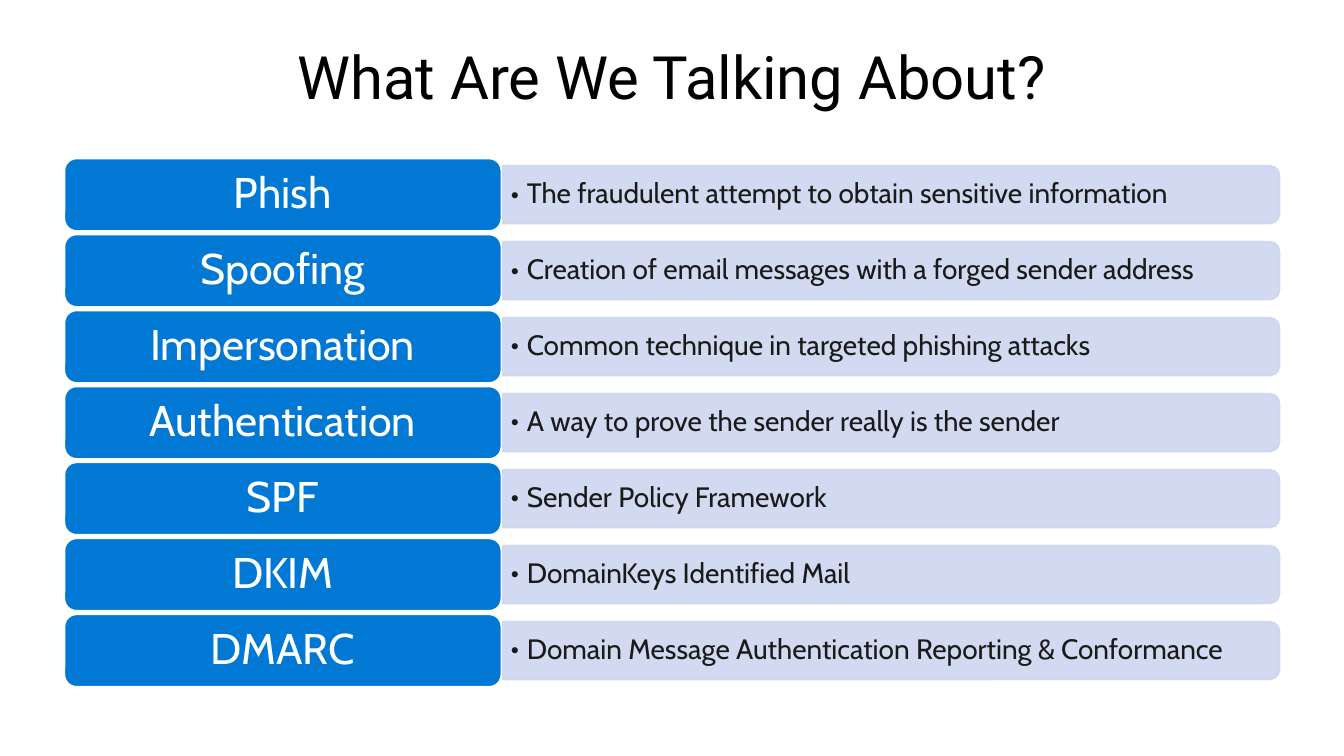
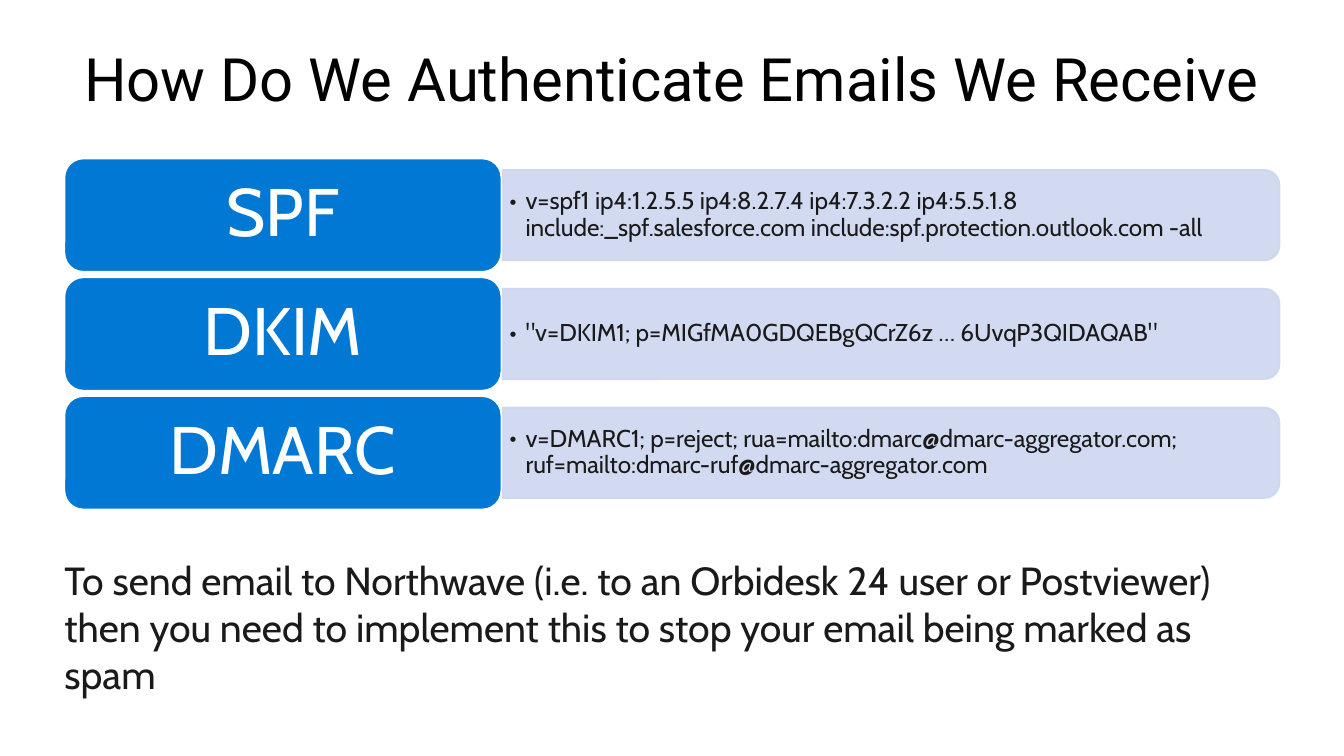
import pptx
import pptx.util
from lxml import etree
from pptx.dml.color import RGBColor
from pptx.enum.shapes import MSO_SHAPE
from pptx.enum.text import MSO_ANCHOR, MSO_AUTO_SIZE, PP_ALIGN
from pptx.oxml.ns import qn
from pptx.util import Inches, Pt

COLORS = {"title": "000000", "term": "0078D4", "band": "CCD6EF",
          "white": "FFFFFF", "ink": "1A1A1A"}
TITLE_FONT, BODY_FONT = "Roboto", "Cabin"

SLIDES = [
    {
        "title": "What Are We Talking About?", "title_top": 0.06,
        "bottom": 5.11, "term_size": 23, "meaning_size": 15, "inset": 0.06,
        "rows": [
            ("Phish", "The fraudulent attempt to obtain sensitive information"),
            ("Spoofing", "Creation of email messages with a forged sender address"),
            ("Impersonation", "Common technique in targeted phishing attacks"),
            ("Authentication", "A way to prove the sender really is the sender"),
            ("SPF", "Sender Policy Framework"),
            ("DKIM", "DomainKeys Identified Mail"),
            ("DMARC", "Domain Message Authentication Reporting & Conformance"),
        ],
        "note": None,
    },
    {
        "title": "How Do We Authenticate Emails We Receive", "title_top": 0.08,
        "bottom": 3.79, "term_size": 36, "meaning_size": 13, "inset": 0.05,
        "rows": [
            ("SPF", "v=spf1 ip4:1.2.5.5 ip4:8.2.7.4 ip4:7.3.2.2 ip4:5.5.1.8 "
                    "include:_spf.salesforce.com include:spf.protection.outlook.com -all"),
            ("DKIM", '"v=DKIM1; p=MIGfMA0GDQEBgQCrZ6z … 6UvqP3QIDAQAB"'),
            ("DMARC", "v=DMARC1; p=reject; rua=mailto:dmarc@dmarc-aggregator.com; "
                      "ruf=mailto:dmarc-ruf@dmarc-aggregator.com"),
        ],
        "note": "To send email to Northwave (i.e. to an Orbidesk 24 user or Postviewer) "
                "then you need to implement this to stop your email being marked as spam",
    },
]

ROWS_TOP = 1.18
TERM_LEFT, TERM_WIDTH = 0.48, 3.25
BAND_LEFT, BAND_WIDTH = 3.74, 5.78
GAP_RATIO, BAND_RATIO = 0.05, 0.8
BULLET_INDENT = 0.12


def rgb(name):
    return RGBColor.from_string(COLORS[name])


def add_bullet(paragraph):
    paragraph.level = 1
    properties = paragraph._p.get_or_add_pPr()
    properties.set("marL", str(Inches(BULLET_INDENT)))
    properties.set("indent", str(-Inches(BULLET_INDENT)))
    etree.SubElement(properties, qn("a:buFont")).set("typeface", BODY_FONT)
    etree.SubElement(properties, qn("a:buChar")).set("char", "•")


def write(frame, text, font, size, color, align=PP_ALIGN.LEFT, spacing=None,
          bullet=False, anchor=MSO_ANCHOR.MIDDLE, insets=(0.1, 0.05)):
    frame.word_wrap = True
    frame.vertical_anchor = anchor
    frame.margin_left = frame.margin_right = Inches(insets[0])
    frame.margin_top = frame.margin_bottom = Inches(insets[1])
    paragraph = frame.paragraphs[0]
    paragraph.alignment = align
    if spacing:
        paragraph.line_spacing = spacing
    if bullet:
        add_bullet(paragraph)
    run = paragraph.add_run()
    run.text = text
    run.font.name, run.font.size = font, Pt(size)
    run.font.color.rgb = rgb(color)


def add_text(slide, box, *args, **options):
    frame = slide.shapes.add_textbox(*map(Inches, box)).text_frame
    write(frame, *args, **options)
    return frame


def add_block(slide, preset, box, fill, line):
    block = slide.shapes.add_shape(preset, *map(Inches, box))
    block.shadow.inherit = False
    block.fill.solid()
    block.fill.fore_color.rgb = rgb(fill)
    block.line.color.rgb = rgb(line)
    block.line.width = Pt(0.85)
    return block


def add_band(slide, top, height):
    """Quarter-turned shape, so that its two rounded corners face right."""
    left = BAND_LEFT + (BAND_WIDTH - height) / 2
    turned_top = top + (height - BAND_WIDTH) / 2
    band = add_block(slide, MSO_SHAPE.ROUND_2_SAME_RECTANGLE,
                     (left, turned_top, height, BAND_WIDTH), "band", "band")
    band.rotation = 90
    for color in band._element.spPr.iter(qn("a:srgbClr")):
        etree.SubElement(color, qn("a:alpha")).set("val", "90000")


def add_rows(slide, content):
    count = len(content["rows"])
    height = (content["bottom"] - ROWS_TOP) / (count + GAP_RATIO * (count - 1))
    band_height = height * BAND_RATIO
    for index, (term, meaning) in enumerate(content["rows"]):
        top = ROWS_TOP + index * height * (1 + GAP_RATIO)
        band_top = top + (height - band_height) / 2
        add_band(slide, band_top, band_height)
        add_text(slide, (BAND_LEFT, band_top, BAND_WIDTH, band_height), meaning,
                 BODY_FONT, content["meaning_size"], "ink", spacing=0.9,
                 bullet=True, insets=(content["inset"], 0.03))
        label = add_block(slide, MSO_SHAPE.ROUNDED_RECTANGLE,
                          (TERM_LEFT, top, TERM_WIDTH, height), "term", "white")
        write(label.text_frame, term, BODY_FONT, content["term_size"], "white",
              align=PP_ALIGN.CENTER, spacing=0.9)


def main():
    deck = pptx.Presentation()
    deck.slide_width = Inches(10)
    deck.slide_height = deck.slide_width * 9 // 16
    for content in SLIDES:
        slide = deck.slides.add_slide(deck.slide_layouts[6])
        add_text(slide, (0.5, content["title_top"], 9, 1), content["title"],
                 TITLE_FONT, 32, "title", align=PP_ALIGN.CENTER)
        add_rows(slide, content)
        if content["note"]:
            note = add_text(slide, (TERM_LEFT, 4.14, 9.04, 1.06), content["note"],
                            BODY_FONT, 21, "ink", anchor=MSO_ANCHOR.TOP, insets=(0, 0))
            note.auto_size = MSO_AUTO_SIZE.SHAPE_TO_FIT_TEXT
    deck.save("out.pptx")


if __name__ == "__main__":
    main()
